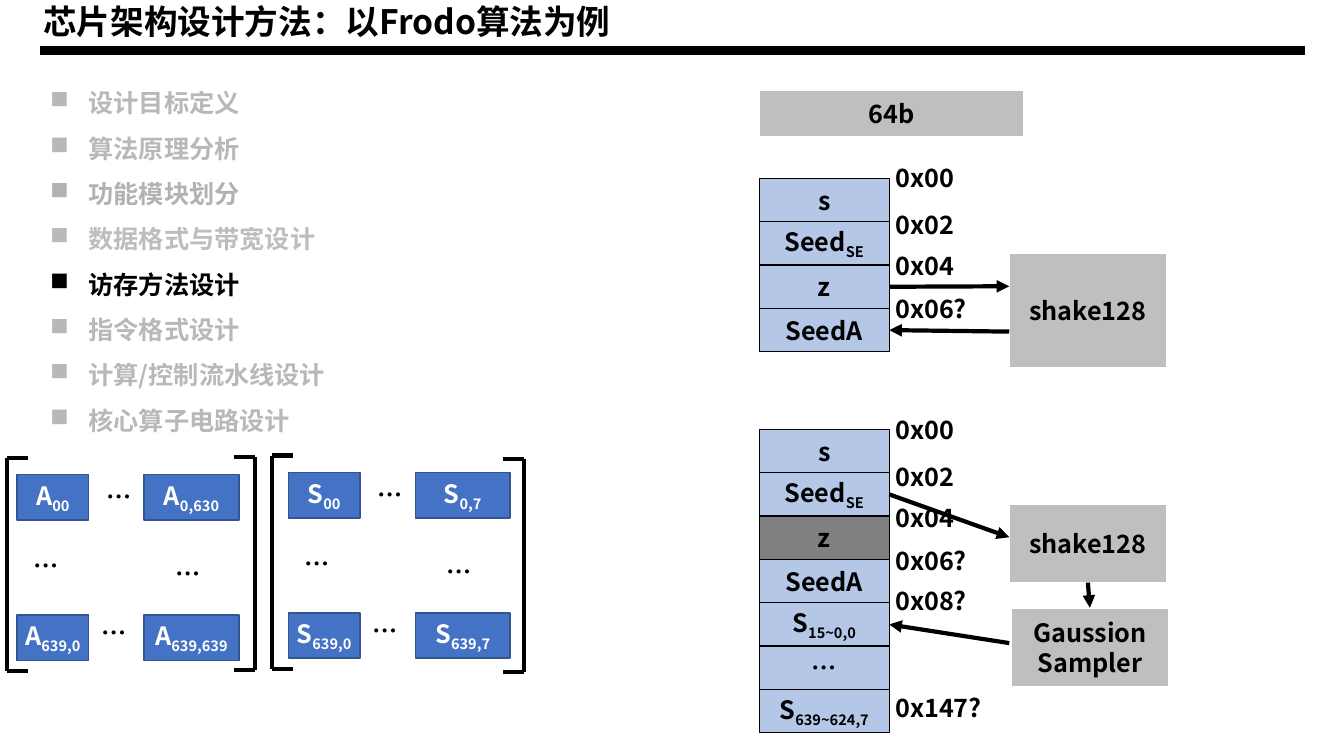
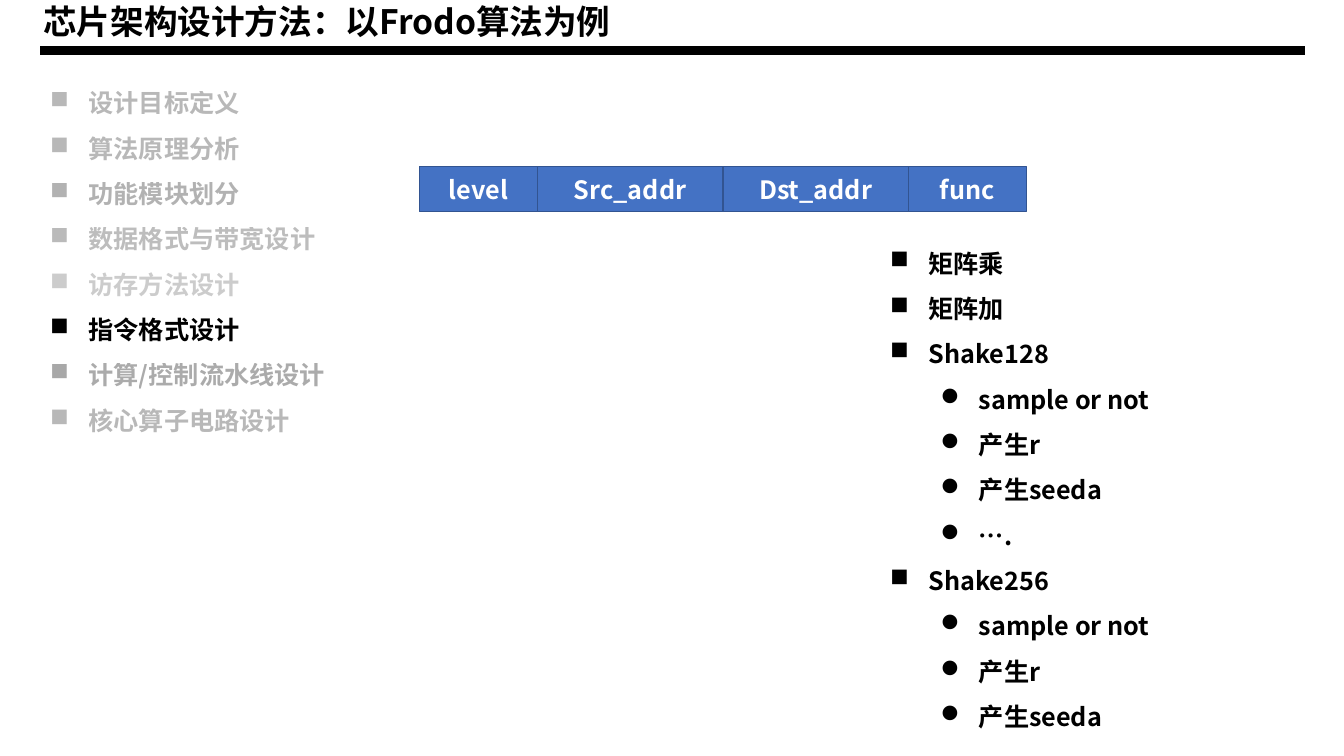
from dataclasses import dataclass

from lxml.etree import SubElement
from pptx import Presentation
from pptx.dml.color import RGBColor
from pptx.enum.shapes import MSO_CONNECTOR, MSO_SHAPE
from pptx.enum.text import MSO_ANCHOR, MSO_AUTO_SIZE, PP_ALIGN
from pptx.oxml.ns import qn
from pptx.util import Emu, Pt

PX = 9144  # 100 px to the inch
TOP, LEFT, BOTTOM, RIGHT = range(4)


@dataclass(frozen=True)
class Theme:
    font: str = "Noto Sans CJK SC"
    bullet_font: str = "Wingdings"
    bullet_chars: str = "nl"  # square, then disc
    title_size: int = 24
    body_size: int = 18
    ink: str = "000000"
    white: str = "FFFFFF"
    blue: str = "4472C4"
    blue_edge: str = "325491"
    memory: str = "B4C7E7"
    freed: str = "808080"
    module: str = "BFBFBF"
    rule_width: int = 6
    line_width: int = 3
    edge_width: int = 1


TOPICS = ["设计目标定义", "算法原理分析", "功能模块划分", "数据格式与带宽设计",
          "访存方法设计", "指令格式设计", "计算/控制流水线设计", "核心算子电路设计"]


class Deck:
    def __init__(self, theme):
        self.theme = theme
        self.prs = Presentation()
        self.prs.slide_width, self.prs.slide_height = Emu(1333 * PX), Emu(750 * PX)
        self.slide = None

    def add_slide(self, opacities):
        """Start a slide with the shared title, rule and topic outline."""
        self.slide = self.prs.slides.add_slide(self.prs.slide_layouts[6])
        self.line((40, 50), (1294, 50), self.theme.rule_width)
        self.label(33, -4, 1261, "芯片架构设计方法：以Frodo算法为例", self.theme.title_size, 50)
        self.bullets(40, 67, 340, 368,
                     [(0, topic, opacity) for topic, opacity in zip(TOPICS, opacities)])

    def run(self, paragraph, text, color, size=None, opacity=100, subscript=False):
        run = paragraph.add_run()
        run.text = text
        font = run.font
        font.size, font.bold = Pt(size or self.theme.body_size), True
        font.color.rgb = RGBColor.from_string(color)
        font.name = self.theme.font
        properties = run._r.get_or_add_rPr()
        SubElement(properties, qn("a:ea")).set("typeface", self.theme.font)
        if opacity < 100:
            rgb = properties.find(qn("a:solidFill")).find(qn("a:srgbClr"))
            SubElement(rgb, qn("a:alpha")).set("val", str(opacity * 1000))
        if subscript:
            properties.set("baseline", "-25000")

    def text_frame(self, x, y, width, height):
        box = self.slide.shapes.add_textbox(*(Emu(n * PX) for n in (x, y, width, height)))
        frame = box.text_frame
        frame.word_wrap = True
        frame.auto_size = MSO_AUTO_SIZE.SHAPE_TO_FIT_TEXT
        return frame

    def label(self, x, y, width, text, size=None, height=40):
        frame = self.text_frame(x, y, width, height)
        self.run(frame.paragraphs[0], text, self.theme.ink, size)

    def bullets(self, x, y, width, height, items):
        """Items are (level, text, opacity in percent)."""
        frame = self.text_frame(x, y, width, height)
        for i, (level, text, opacity) in enumerate(items):
            paragraph = frame.add_paragraph() if i else frame.paragraphs[0]
            paragraph.level = level
            paragraph.line_spacing = 1.5
            properties = paragraph._p.get_or_add_pPr()
            properties.set("marL", str((38 + 50 * level) * PX))
            properties.set("indent", str(-38 * PX))
            bullet_font = SubElement(properties, qn("a:buFont"))
            bullet_font.set("typeface", self.theme.bullet_font)
            bullet_font.set("charset", "2")
            SubElement(properties, qn("a:buChar")).set("char", self.theme.bullet_chars[level])
            self.run(paragraph, text, self.theme.ink, opacity=opacity)

    def block(self, x, y, width, height, lines, fill, edge, color):
        """Rectangle with centred lines, each a (base, subscript) pair."""
        rect = self.slide.shapes.add_shape(
            MSO_SHAPE.RECTANGLE, *(Emu(n * PX) for n in (x, y, width, height)))
        rect.shadow.inherit = False
        rect.fill.solid()
        rect.fill.fore_color.rgb = RGBColor.from_string(fill)
        rect.line.color.rgb = RGBColor.from_string(edge)
        rect.line.width = Pt(self.theme.edge_width)
        frame = rect.text_frame
        frame.word_wrap = True
        frame.vertical_anchor = MSO_ANCHOR.MIDDLE
        frame.margin_left = frame.margin_right = 0
        for i, (base, subscript) in enumerate(lines):
            paragraph = frame.add_paragraph() if i else frame.paragraphs[0]
            paragraph.alignment = PP_ALIGN.CENTER
            self.run(paragraph, base, color)
            if subscript:
                self.run(paragraph, subscript, color, subscript=True)
        return rect

    def blue_block(self, x, y, width, base, subscript=""):
        t = self.theme
        return self.block(x, y, width, 45, [(base, subscript)], t.blue, t.blue_edge, t.white)

    def module(self, x, y, width, height, *lines):
        t = self.theme
        return self.block(x, y, width, height, [(line, "") for line in lines],
                          t.module, t.white, t.ink)

    def memory(self, top, rows):
        """Stack of memory rows: (base, subscript, fill, address, address top)."""
        cells = []
        for i, (base, subscript, fill, address, address_top) in enumerate(rows):
            cells.append(self.block(753, top + 43 * i, 129, 43, [(base, subscript)],
                                    fill, self.theme.ink, self.theme.ink))
            if address:
                self.label(878, address_top, 119, address)
        return cells

    def line(self, start, end, width=None, arrow=False):
        """Each end is a point, or a (shape, side) pair to join."""
        joins = [not isinstance(stop[0], int) for stop in (start, end)]
        points = [(0, 0) if joined else stop for joined, stop in zip(joins, (start, end))]
        line = self.slide.shapes.add_connector(
            MSO_CONNECTOR.STRAIGHT, *(Emu(n * PX) for point in points for n in point))
        if joins[0]:
            line.begin_connect(*start)
        if joins[1]:
            line.end_connect(*end)
        line.line.color.rgb = RGBColor.from_string(self.theme.ink)
        line.line.width = Pt(width or self.theme.line_width)
        if arrow:
            SubElement(line.line._get_or_add_ln(), qn("a:tailEnd")).set("type", "triangle")
        SubElement(line._element.spPr, qn("a:effectLst"))

    def bracket(self, x, top, arm):
        bottom = top + 212
        self.line((x, top), (x + arm, top))
        self.line((x, bottom), (x + arm, bottom))
        self.line((x, top), (x, bottom))

    def matrix(self, x, y, name, subscripts):
        """Four corner entries with ellipses between them."""
        corners = [(0, 0, 71), (126, 0, 94), (0, 139, 71), (126, 139, 94)]
        for (dx, dy, width), subscript in zip(corners, subscripts):
            self.blue_block(x + dx, y + dy, width, name, subscript)
        for dx, dy in [(79, 2), (6, 70), (74, 137), (147, 78)]:
            self.label(x + dx, y + dy, 45, "…")


def memory_slide(deck):
    t = deck.theme
    deck.add_slide([27, 27, 29, 26, 100, 27, 27, 27])
    deck.module(753, 90, 262, 46, "64b")

    # Generating SeedA from z
    _, _, z, seed_a = deck.memory(177, [
        ("s", "", t.memory, "0x00", 156),
        ("Seed", "SE", t.memory, "0x02", 203),
        ("z", "", t.memory, "0x04", 243),
        ("SeedA", "", t.memory, "0x06?", 286),
    ])
    deck.module(1001, 251, 156, 114, "shake128")
    deck.line((z, RIGHT), (1001, 284), arrow=True)
    deck.line((1001, 329), (seed_a, RIGHT), arrow=True)

    # Sampling S from SeedSE
    _, seed_se, _, _, first_s, _, _ = deck.memory(426, [
        ("s", "", t.memory, "0x00", 406),
        ("Seed", "SE", t.memory, "0x02", 453),
        ("z", "", t.freed, "0x04", 493),
        ("SeedA", "", t.memory, "0x06?", 536),
        ("S", "15~0,0", t.memory, "0x08?", 576),
        ("…", "", t.memory, "", 0),
        ("S", "639~624,7", t.memory, "0x147?", 682),
    ])
    shake = deck.module(1001, 500, 156, 78, "shake128")
    sampler = deck.module(1003, 603, 156, 78, "Gaussion", "Sampler")
    deck.line((seed_se, RIGHT), (1001, 533), arrow=True)
    deck.line((shake, BOTTOM), (sampler, TOP), arrow=True)
    deck.line((1001, 638), (first_s, RIGHT), arrow=True)

    # Matrices A and S
    deck.matrix(17, 471, "A", ["00", "0,630", "639,0", "639,639"])
    deck.matrix(286, 469, "S", ["00", "0,7", "639,0", "639,7"])
    for x, top, arm in [(7, 454, 21), (253, 453, -21), (270, 452, 21), (520, 455, -21)]:
        deck.bracket(x, top, arm)


def instruction_slide(deck):
    deck.add_slide([27, 27, 29, 26, 20, 100, 33, 27])

    # Instruction fields
    x = 416
    for field, width in [("level", 117), ("Src_addr", 184), ("Dst_addr", 184), ("func", 117)]:
        deck.blue_block(x, 165, width, field)
        x += width

    # Values of the func field
    options = ["sample or not", "产生r", "产生seeda"]
    functions = [("矩阵乘", []), ("矩阵加", []),
                 ("Shake128", options + ["…."]), ("Shake256", options)]
    items = []
    for function, choices in functions:
        items.append((0, function, 100))
        items += [(1, choice, 100) for choice in choices]
    deck.bullets(873, 226, 421, 505, items)


def main():
    deck = Deck(Theme())
    memory_slide(deck)
    instruction_slide(deck)
    deck.prs.save("out.pptx")


if __name__ == "__main__":
    main()
